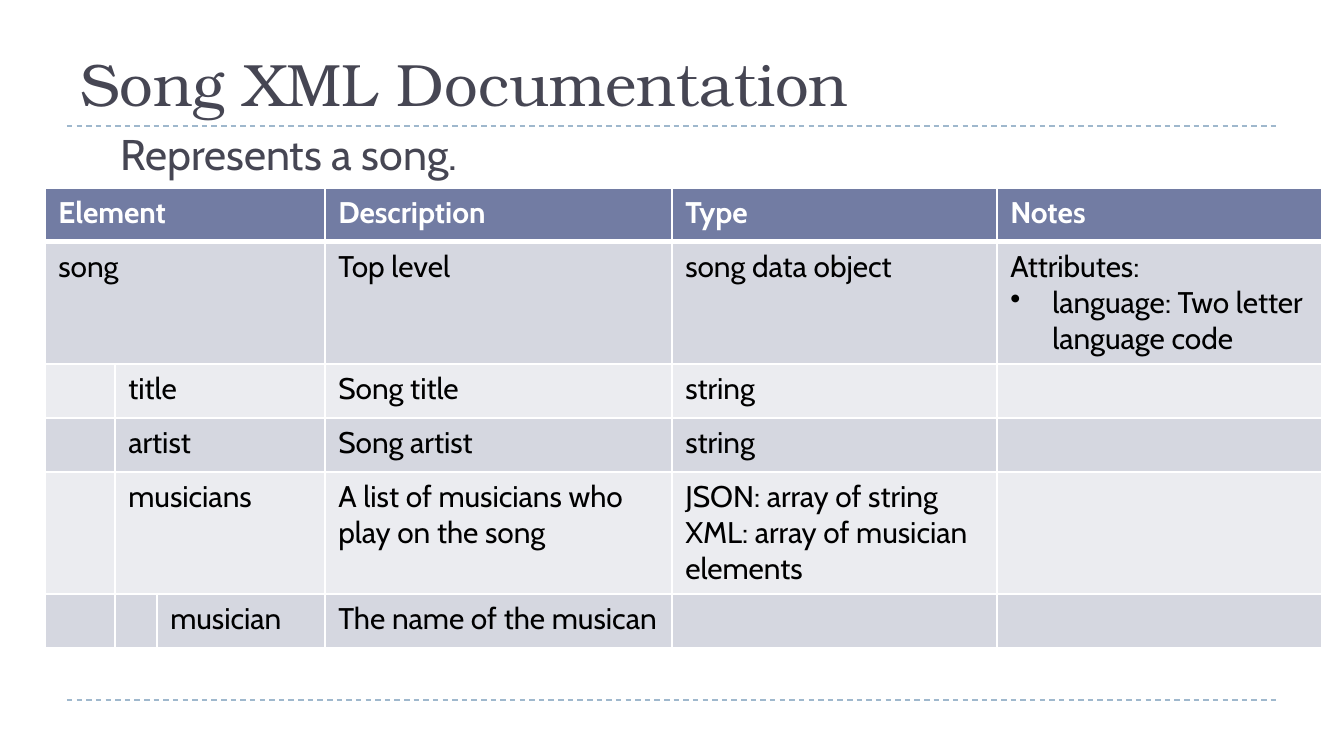
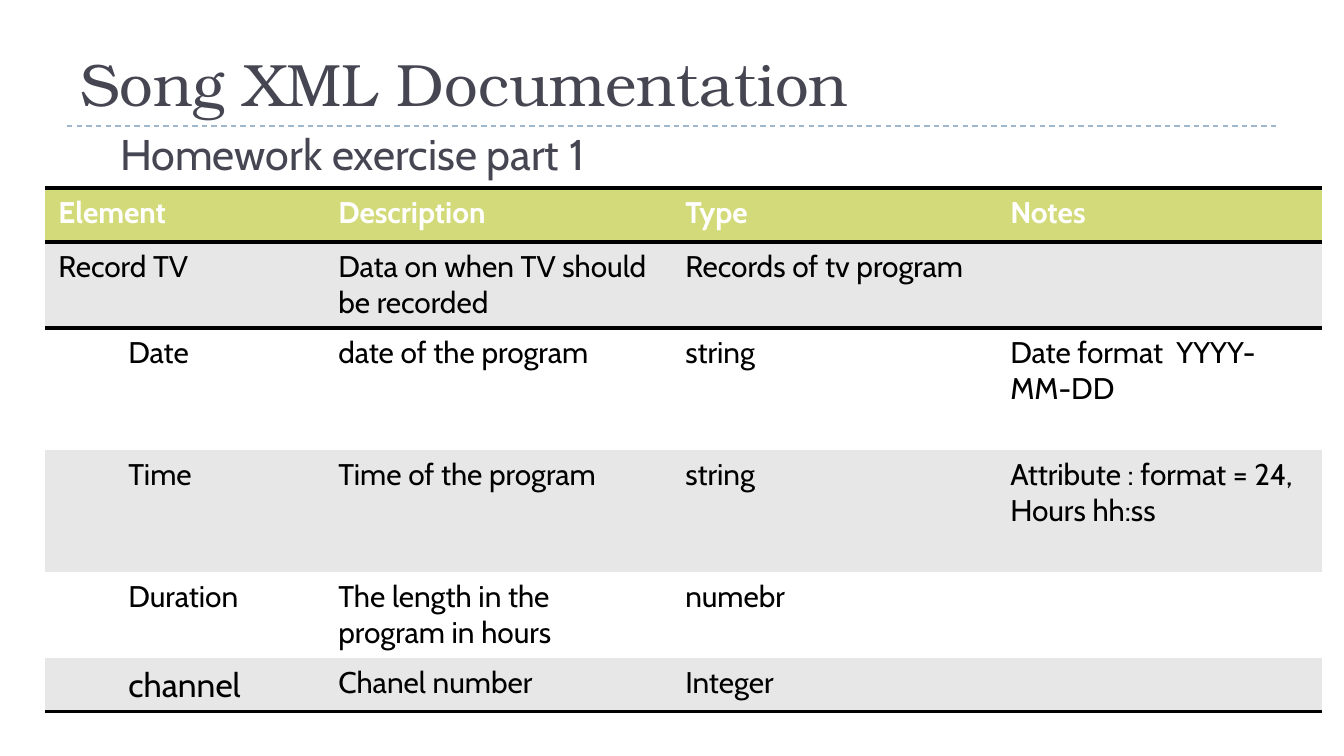
"""Build two slides that document the elements of an XML format in tables."""
from dataclasses import dataclass

from lxml.etree import SubElement
from pptx import Presentation
from pptx.dml.color import RGBColor
from pptx.enum.dml import MSO_LINE
from pptx.enum.shapes import MSO_CONNECTOR as Connector
from pptx.enum.text import MSO_ANCHOR as Anchor
from pptx.oxml.ns import qn
from pptx.util import Pt

TITLE = "Song XML Documentation"
HEADINGS = ("Element", "Description", "Type", "Notes")
BULLET = "• "

SLIDES = [
    {
        "subtitle": "Represents a song.",
        "look": "grid",
        "element_widths": [70, 42, 168],
        "header_height": 54,
        "elements": [
            (0, 122, "song", "Top level", "song data object",
             "Attributes:\n• language: Two letter language code"),
            (1, 54, "title", "Song title", "string", ""),
            (1, 54, "artist", "Song artist", "string", ""),
            (1, 122, "musicians", "A list of musicians who play on the song",
             "JSON: array of string\nXML: array of musician elements", ""),
            (2, 54, "musician", "The name of the musican", "", ""),
        ],
    },
    {
        "subtitle": "Homework exercise part 1",
        "look": "ruled",
        "element_widths": [70, 210],
        "header_height": 54,
        "elements": [
            (0, 86, "Record TV", "Data on when TV should be recorded",
             "Records of tv program", ""),
            (1, 122, "Date", "date of the program", "string",
             "Date format  YYYY-MM-DD"),
            (1, 122, "Time", "Time of the program", "string",
             "Attribute : format = 24, Hours hh:ss"),
            (1, 86, "Duration", "The length in the program in hours", "numebr", ""),
            (1, 54, "channel", "Chanel number", "Integer", ""),
        ],
    },
]
LARGE_NAMES = {"channel"}


@dataclass(frozen=True)
class Look:
    """Colours and border rules (colour, points) of one kind of table."""
    header: str
    bands: tuple
    outer: tuple
    under_header: tuple
    inner: tuple | None


@dataclass(frozen=True)
class Theme:
    """Fonts, colours and type sizes shared by the slides."""
    title_font: str = "TeX Gyre Bonum"
    body_font: str = "Cabin"
    heading: str = "464653"
    rule: str = "9FB8CD"
    cell: str = "000000"
    header_text: str = "FFFFFF"
    title_size: int = 32
    subtitle_size: int = 23
    cell_size: int = 16
    large_size: int = 18


THEME = Theme()
LOOKS = {
    "grid": Look("727CA3", ("D5D7E0", "EBECF0"),
                 ("FFFFFF", 1), ("FFFFFF", 3), ("FFFFFF", 1)),
    "ruled": Look("D2DA7A", ("E7E7E7", "FFFFFF"),
                  ("000000", 2), ("000000", 2), None),
}
PLAIN_TABLE = "{2D5ABB26-0587-4C30-8999-92F81FD0307C}"

SLIDE_SIZE = (1344, 756)
MARGIN, CONTENT_WIDTH = 67, 1210
RULE_TOPS = (126, 700)
TITLE_BOX = (MARGIN, 16, CONTENT_WIDTH, 109)
SUBTITLE_BOX = (MARGIN, 121, CONTENT_WIDTH, 87)
SUBTITLE_INDENT = 40
TABLE_LEFT, TABLE_TOP = 45, 188
DETAIL_WIDTHS = [347, 325, 325]
BULLET_INDENT = 42


def px(length):
    """Turn pixels into EMU."""
    return round(length * 914400 / 134.4)


def set_font(paragraph, name, size, color, bold=False):
    """Style a whole paragraph."""
    font = paragraph.font
    font.name, font.size, font.bold = name, Pt(size), bold
    font.color.rgb = RGBColor.from_string(color)


def indent(paragraph, margin, first_line=0):
    """Indent a paragraph and return its properties."""
    properties = paragraph._p.get_or_add_pPr()
    properties.set("marL", str(px(margin)))
    properties.set("indent", str(px(first_line)))
    return properties


def add_heading(slide, text, box, font_name, size, anchor):
    """Add one line of heading text and return its paragraph."""
    frame = slide.shapes.add_textbox(*map(px, box)).text_frame
    frame.word_wrap = True
    frame.vertical_anchor = anchor
    paragraph = frame.paragraphs[0]
    paragraph.text = text
    set_font(paragraph, font_name, size, THEME.heading)
    return paragraph


def add_frame(slide, subtitle):
    """Add the dashed rules, title and subtitle."""
    for top in RULE_TOPS:
        rule = slide.shapes.add_connector(
            Connector.STRAIGHT, px(MARGIN), px(top),
            px(MARGIN + CONTENT_WIDTH), px(top))
        rule.line.color.rgb = RGBColor.from_string(THEME.rule)
        rule.line.width = Pt(0.75)
        rule.line.dash_style = MSO_LINE.DASH
        SubElement(rule._element.spPr, qn("a:effectLst"))
    add_heading(slide, TITLE, TITLE_BOX, THEME.title_font,
                THEME.title_size, Anchor.BOTTOM)
    lead = add_heading(slide, subtitle, SUBTITLE_BOX, THEME.body_font,
                       THEME.subtitle_size, Anchor.TOP)
    lead.space_before = Pt(5)
    indent(lead, SUBTITLE_INDENT)


def add_border(cell, side, rule):
    """Draw one side of a cell when it has a rule."""
    if rule:
        color, points = rule
        line = SubElement(cell._tc.get_or_add_tcPr(), qn(f"a:ln{side}"),
                          w=str(Pt(points)))
        SubElement(SubElement(line, qn("a:solidFill")), qn("a:srgbClr"), val=color)


def write_cell(cell, text, size, color, bold):
    """Write lines of text, with bullets where they are marked."""
    cell.text = text
    for paragraph in cell.text_frame.paragraphs:
        if paragraph.text.startswith(BULLET):
            paragraph.text = paragraph.text.removeprefix(BULLET)
            properties = indent(paragraph, BULLET_INDENT, -BULLET_INDENT)
            SubElement(properties, qn("a:buChar"), char=BULLET.strip())
        set_font(paragraph, THEME.body_font, size, color, bold)


def add_element_table(slide, content):
    """Add the table, with each element name indented by its depth."""
    look = LOOKS[content["look"]]
    rows = [(0, content["header_height"], *HEADINGS), *content["elements"]]
    widths = content["element_widths"] + DETAIL_WIDTHS
    heights = [row[1] for row in rows]
    name_end = len(content["element_widths"]) - 1
    rules = [look.outer, look.under_header,
             *[look.inner] * (len(rows) - 2), look.outer]

    table = slide.shapes.add_table(
        len(rows), len(widths), px(TABLE_LEFT), px(TABLE_TOP),
        px(sum(widths)), px(sum(heights))).table
    table.first_row = table.horz_banding = False
    table._tbl.tblPr.find(qn("a:tableStyleId")).text = PLAIN_TABLE
    for column, width in zip(table.columns, widths):
        column.width = px(width)

    for number, (depth, height, name, *details) in enumerate(rows):
        table.rows[number].height = px(height)
        header = number == 0
        fill = look.header if header else look.bands[(number - 1) % 2]
        color = THEME.header_text if header else THEME.cell
        if depth < name_end:
            table.cell(number, depth).merge(table.cell(number, name_end))
        texts = {depth: name, **dict(enumerate(details, name_end + 1))}
        for position in range(len(widths)):
            cell = table.cell(number, position)
            if cell.is_spanned:
                continue
            sides = zip("LRTB", (look.inner, look.inner, *rules[number:number + 2]))
            for side, rule in sides:
                add_border(cell, side, rule)
            cell.fill.solid()
            cell.fill.fore_color.rgb = RGBColor.from_string(fill)
            text = texts.get(position, "")
            size = THEME.large_size if text in LARGE_NAMES else THEME.cell_size
            write_cell(cell, text, size, color, header)


def main():
    """Build and save the slides."""
    deck = Presentation()
    deck.slide_width, deck.slide_height = map(px, SLIDE_SIZE)
    for content in SLIDES:
        slide = deck.slides.add_slide(deck.slide_layouts[6])
        add_frame(slide, content["subtitle"])
        add_element_table(slide, content)
    deck.save("out.pptx")


if __name__ == "__main__":
    main()
